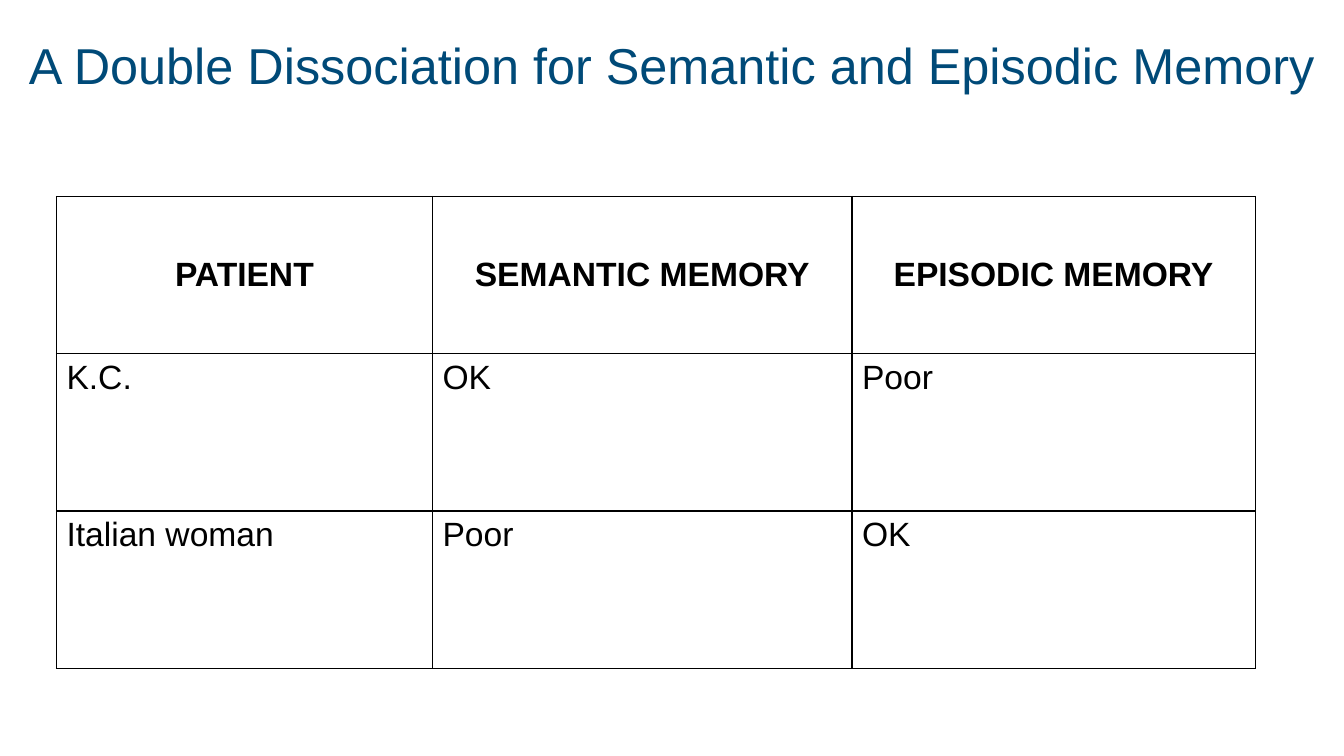
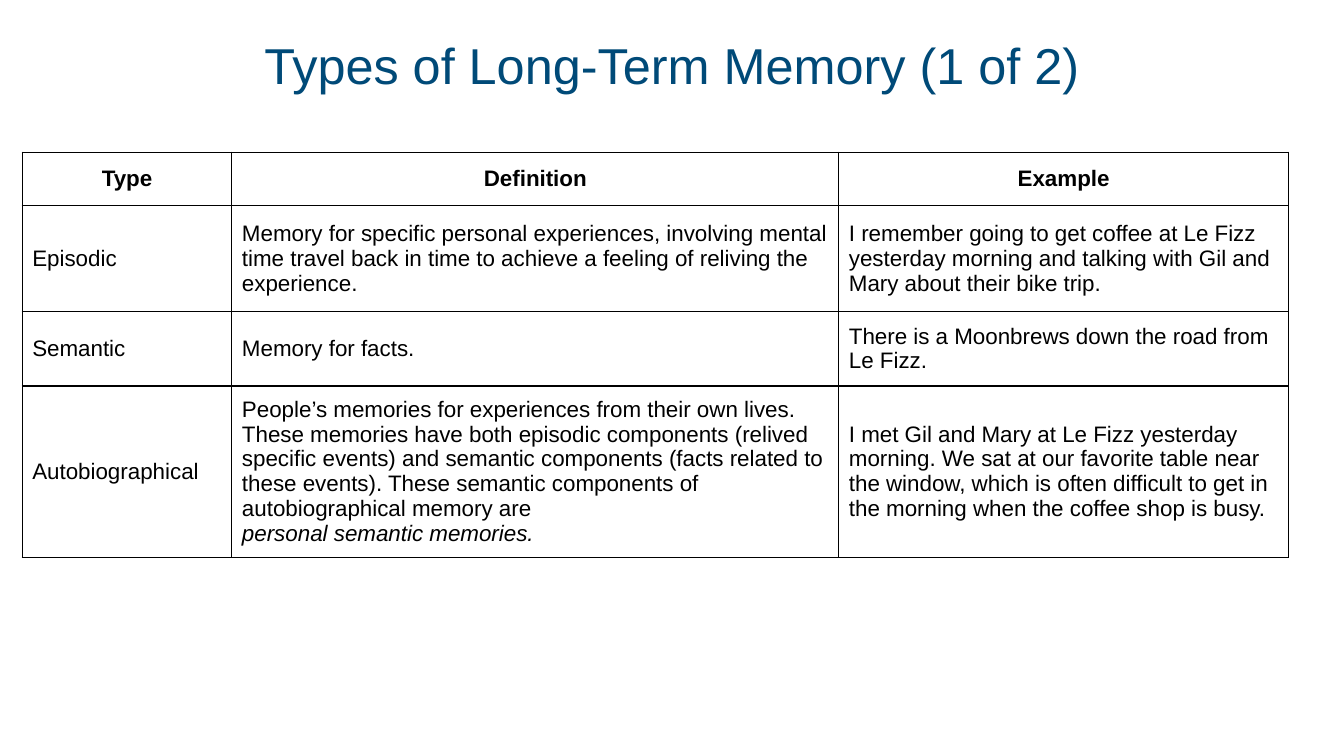
from lxml.etree import SubElement as Sub
from pptx import Presentation
from pptx.dml.color import RGBColor as RGB
from pptx.enum.text import MSO_ANCHOR as Anchor, PP_ALIGN as Align
from pptx.oxml.ns import qn

PX = 9144  # 100 px to the inch
FONT = "Arial"
BLUE = RGB(0x00, 0x4A, 0x78)
BLACK = RGB(0x00, 0x00, 0x00)
RULE = 12700
TITLE = (11, 14, 1311, 108)

PATIENTS = [
    ("PATIENT", "SEMANTIC MEMORY", "EPISODIC MEMORY"),
    ("K.C.", "OK", "Poor"),
    ("Italian woman", "Poor", "OK"),
]
TYPES = [
    ("Type", "Definition", "Example"),
    ("Episodic",
     "Memory for specific personal experiences, involving mental time travel "
     "back in time to achieve a feeling of reliving the experience.",
     "I remember going to get coffee at Le Fizz yesterday morning and talking "
     "with Gil and Mary about their bike trip."),
    ("Semantic", "Memory for facts.",
     "There is a Moonbrews down the road from Le Fizz."),
    ("Autobiographical",
     ("People’s memories for experiences from their own lives. These memories "
      "have both episodic components (relived specific events) and semantic "
      "components (facts related to these events). These semantic components "
      "of autobiographical memory are",
      "personal semantic memories."),
     "I met Gil and Mary at Le Fizz yesterday morning. We sat at our favorite "
     "table near the window, which is often difficult to get in the morning "
     "when the coffee shop is busy."),
]


def px(*nums):
    return [n * PX for n in nums]


def write(frame, text, size, color=BLACK, bold=False, align=Align.LEFT,
          space=None):
    """Write one paragraph, or a tuple whose later lines are italic."""
    lines = text if isinstance(text, tuple) else (text,)
    for i, line in enumerate(lines):
        para = frame.add_paragraph() if i else frame.paragraphs[0]
        para.alignment = align
        para.line_spacing = space
        run = para.add_run()
        run.text = line
        font = run.font
        font.name, font.bold, font.italic = FONT, bold, i > 0
        font.size = size * 12700
        font.color.rgb = color


def border(cell):
    props = cell._tc.get_or_add_tcPr()
    for side in ("a:lnL", "a:lnR", "a:lnT", "a:lnB"):
        line = Sub(props, qn(side), w=str(RULE))
        fill = Sub(line, qn("a:solidFill"))
        Sub(fill, qn("a:srgbClr"), val=str(BLACK))


def title(slide, text, box=TITLE):
    frame = slide.shapes.add_textbox(*px(*box)).text_frame
    frame.word_wrap = True
    frame.vertical_anchor = Anchor.MIDDLE
    frame.margin_left = frame.margin_right = 0
    frame.margin_top = frame.margin_bottom = 0
    write(frame, text, 36, color=BLUE, align=Align.CENTER, space=0.9)


def grid(slide, data, left, top, cols, rows, size, anchor):
    box = px(left, top, sum(cols), sum(rows))
    table = slide.shapes.add_table(len(rows), len(cols), *box).table
    table.first_row = table.horz_banding = False
    for col, wide in zip(table.columns, px(*cols)):
        col.width = wide
    for row, tall in zip(table.rows, px(*rows)):
        row.height = tall
    for r, texts in enumerate(data):
        head = r == 0
        for c, text in enumerate(texts):
            cell = table.cell(r, c)
            border(cell)
            cell.fill.background()
            cell.vertical_anchor = Anchor.MIDDLE if head else anchor
            write(cell.text_frame, text, size, bold=head,
                  align=Align.CENTER if head else Align.LEFT)


def page(deck, name, data, **form):
    slide = deck.slides.add_slide(deck.slide_layouts[6])
    title(slide, name)
    grid(slide, data, **form)


def main():
    deck = Presentation()
    deck.slide_width, deck.slide_height = px(1333, 750)
    # Patients with opposite deficits
    page(deck, "A Double Dissociation for Semantic and Episodic Memory",
         PATIENTS, left=56, top=195, cols=(373, 416, 400), rows=(156,) * 3,
         size=24, anchor=Anchor.TOP)
    # Kinds of memory
    page(deck, "Types of Long-Term Memory (1 of 2)",
         TYPES, left=22, top=151, cols=(208, 602, 446),
         rows=(53, 105, 74, 166), size=16, anchor=Anchor.MIDDLE)
    deck.save("out.pptx")


if __name__ == "__main__":
    main()
